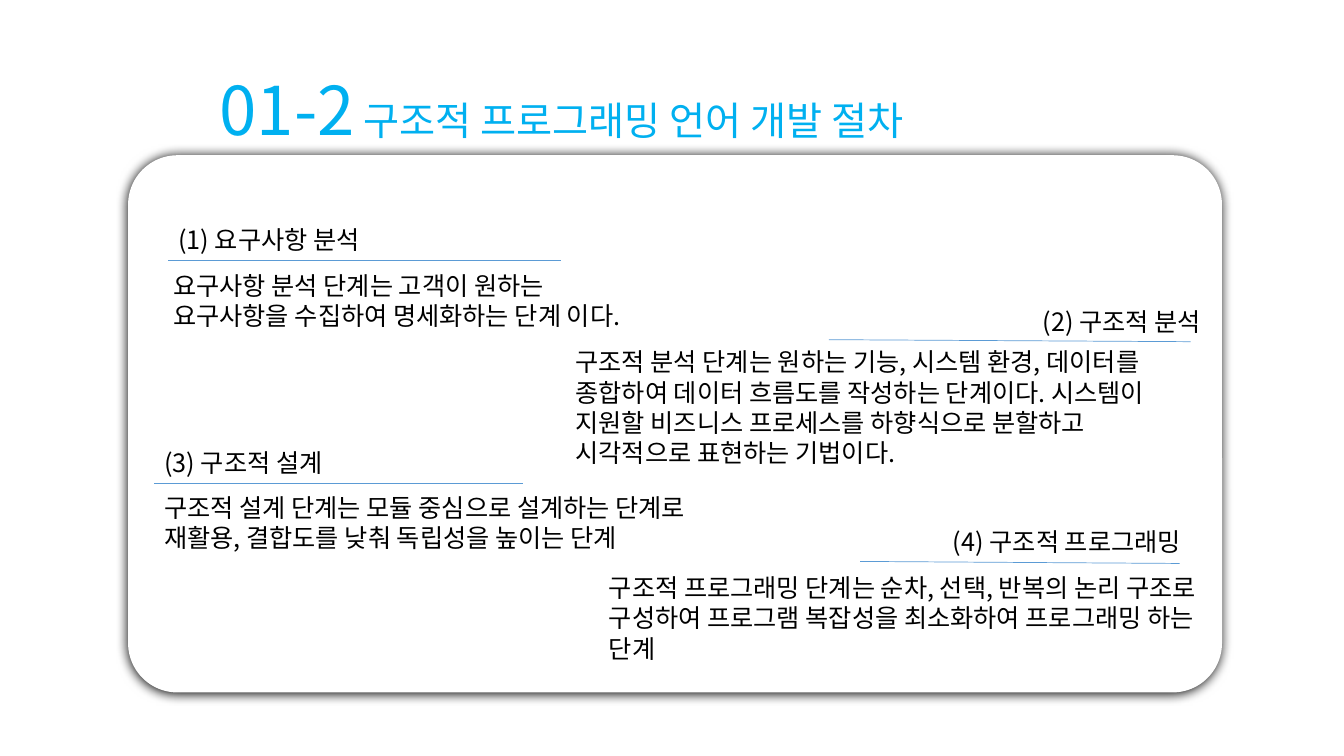
from lxml.etree import SubElement
from pptx import Presentation
from pptx.dml.color import RGBColor
from pptx.enum.shapes import MSO_CONNECTOR, MSO_SHAPE
from pptx.enum.text import MSO_AUTO_SIZE, PP_ALIGN
from pptx.oxml.ns import qn
from pptx.util import Inches, Pt

FONT = "Noto Sans CJK KR"
BLACK, WHITE, SKY, BLUE = "000000", "FFFFFF", "00B0F0", "5B9BD5"
LEFT, RIGHT = PP_ALIGN.LEFT, PP_ALIGN.RIGHT

TITLE = [("01-2", 48), (" 구조적 프로그래밍 언어 개발 절차", 28)]
TITLE_AREA = (2.08, 0.63, 8.19, 0.91)
CARD_AREA = (1.27, 1.54, 10.85, 5.33)

STEPS = [
    {
        "heading": "(1) 요구사항 분석", "heading_area": (1.67, 2.18, 2.71, 0.4), "align": LEFT,
        "rule": (1.67, 2.58, 5.56, 2.58),
        "body": ["요구사항 분석 단계는 고객이 원하는", "요구사항을 수집하여 명세화하는 단계 이다."],
        "body_area": (1.62, 2.63, 5.07, 0.71),
    },
    {
        "heading": "(2) 구조적 분석", "heading_area": (10.02, 2.99, 1.99, 0.4), "align": RIGHT,
        "rule": (8.22, 3.37, 11.81, 3.39),
        "body": [
            "구조적 분석 단계는 원하는 기능, 시스템 환경, 데이터를",
            "종합하여 데이터 흐름도를 작성하는 단계이다. 시스템이",
            "지원할 비즈니스 프로세스를 하향식으로 분할하고",
            "시각적으로 표현하는 기법이다.",
        ],
        "body_area": (5.61, 3.39, 6.52, 1.31),
    },
    {
        "heading": "(3) 구조적 설계", "heading_area": (1.53, 4.39, 2.71, 0.4), "align": LEFT,
        "rule": (1.53, 4.8, 5.19, 4.8),
        "body": ["구조적 설계 단계는 모듈 중심으로 설계하는 단계로 재활용, 결합도를 낮춰 독립성을 높이는 단계"],
        "body_area": (1.53, 4.83, 5.48, 1.01),
    },
    {
        "heading": "(4) 구조적 프로그래밍", "heading_area": (8.98, 5.17, 2.83, 0.4), "align": RIGHT,
        "rule": (8.53, 5.57, 11.7, 5.59),
        "body": ["구조적 프로그래밍 단계는 순차, 선택, 반복의 논리 구조로 구성하여 프로그램 복잡성을 최소화하여 프로그래밍 하는 단계"],
        "body_area": (5.94, 5.63, 6.09, 1.01),
    },
]


def color(value):
    return RGBColor.from_string(value)


def inches(values):
    return [Inches(value) for value in values]


def add_text(slide, area, paragraphs, ink, align=LEFT):
    box = slide.shapes.add_textbox(*inches(area))
    frame = box.text_frame
    frame.word_wrap = True
    frame.auto_size = MSO_AUTO_SIZE.SHAPE_TO_FIT_TEXT
    for index, parts in enumerate(paragraphs):
        paragraph = frame.add_paragraph() if index else frame.paragraphs[0]
        paragraph.alignment = align
        for words, size in parts:
            run = paragraph.add_run()
            run.text = words
            run.font.size = Pt(size)
            run.font.name = FONT
            run.font.color.rgb = color(ink)
            SubElement(run.font._element, qn("a:ea"), typeface=FONT)


def add_card(slide):
    card = slide.shapes.add_shape(MSO_SHAPE.ROUNDED_RECTANGLE, *inches(CARD_AREA))
    card.adjustments[0] = 0.092
    card.fill.solid()
    card.fill.fore_color.rgb = color(WHITE)
    card.line.fill.background()
    card.shadow.inherit = False
    effects = card._element.spPr.find(qn("a:effectLst"))
    shadow = SubElement(effects, qn("a:outerShdw"), blurRad=str(Pt(8.5)), dist=str(Pt(1)),
                        dir="5400000", algn="t", rotWithShape="0")
    SubElement(shadow, qn("a:srgbClr"), val=BLACK)


def add_rule(slide, ends):
    rule = slide.shapes.add_connector(MSO_CONNECTOR.STRAIGHT, *inches(ends))
    rule.line.color.rgb = color(BLUE)
    rule.line.width = Pt(0.5)
    SubElement(rule._element.spPr, qn("a:effectLst"))


def main():
    deck = Presentation()
    deck.slide_width, deck.slide_height = inches((13.33, 7.5))
    slide = deck.slides.add_slide(deck.slide_layouts[6])
    add_card(slide)
    add_text(slide, TITLE_AREA, [TITLE], SKY)
    for step in STEPS:
        add_rule(slide, step["rule"])
        add_text(slide, step["heading_area"], [[(step["heading"], 18)]], BLACK, step["align"])
        add_text(slide, step["body_area"], [[(line, 18)] for line in step["body"]], BLACK)
    deck.save("out.pptx")


if __name__ == "__main__":
    main()
